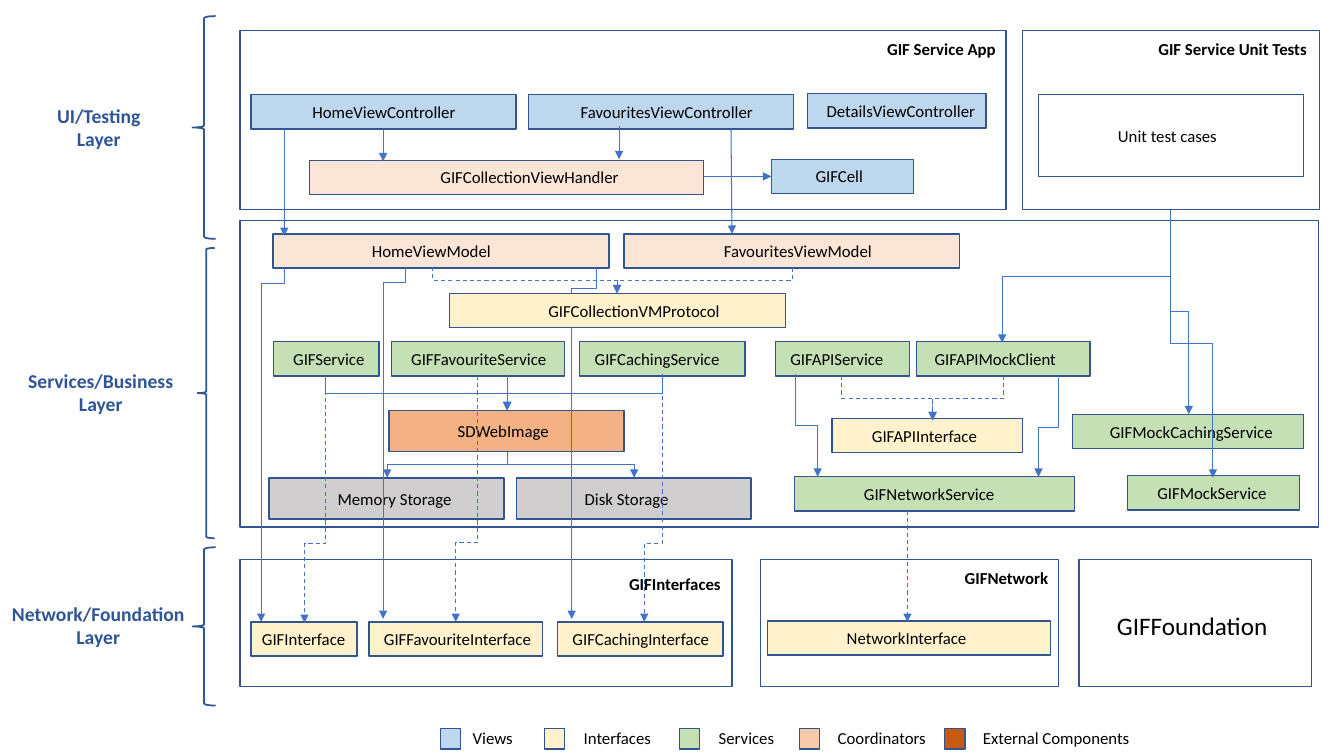
import pptx
import pptx.dml.color
import pptx.enum.dml
import pptx.enum.shapes
import pptx.enum.text
import pptx.oxml
import pptx.oxml.ns
import pptx.util
from pptx.util import Inches

SHAPES = pptx.enum.shapes.MSO_SHAPE
CONNECTORS = pptx.enum.shapes.MSO_CONNECTOR
VIEW, INTERFACE, SERVICE = "BDD7EE", "FFF2CC", "C5E0B4"
COORDINATOR, LIBRARY, STORAGE = "FBE5D6", "F4B183", "D0CECE"
ROW = 0.34


def colour(hex_string):
    return pptx.dml.color.RGBColor.from_string(hex_string)


class Diagram:
    """Holds the style and the page being drawn on."""
    font = "Calibri"
    outline = "325491"
    arrow_colour = "4472C4"
    layer_colour = "2F5597"

    def __init__(self, page):
        self.page = page

    def shape(self, left, top, width, height, fill=None, kind=SHAPES.RECTANGLE,
              line=outline, weight=1):
        box = self.page.shapes.add_shape(
            kind, Inches(left), Inches(top), Inches(width), Inches(height))
        box.shadow.inherit = False
        if fill:
            box.fill.solid()
            box.fill.fore_color.rgb = colour(fill)
        else:
            box.fill.background()
        box.line.color.rgb = colour(line)
        box.line.width = pptx.util.Pt(weight)

    def label(self, lines, left, top, width, height=0.3, size=12, bold=False,
              ink="000000", centred=False, wrap=False):
        box = self.page.shapes.add_textbox(
            Inches(left), Inches(top), Inches(width), Inches(height))
        frame = box.text_frame
        frame.word_wrap = wrap
        frame.auto_size = pptx.enum.text.MSO_AUTO_SIZE.SHAPE_TO_FIT_TEXT
        para = frame.paragraphs[0]
        if centred:
            para.alignment = pptx.enum.text.PP_ALIGN.CENTER
        for index, line in enumerate(lines):
            if index:
                para.add_line_break()
            span = para.add_run()
            span.text = line
            span.font.name = self.font
            span.font.size = pptx.util.Pt(size)
            span.font.bold = bold
            span.font.color.rgb = colour(ink)

    def node(self, name, fill, left, top, width, text_left, text_width,
             wrap=False, height=ROW):
        """Draw a component box with its name halfway down."""
        self.shape(left, top, width, height, fill)
        self.label([name], text_left, top + (height - 0.3) / 2, text_width, wrap=wrap)

    def layer(self, lines, text_box, brace_box):
        self.label(lines, *text_box, size=14, bold=True, ink=self.layer_colour,
                   centred=True)
        self.shape(*brace_box, kind=SHAPES.LEFT_BRACE, line=self.layer_colour,
                   weight=1.25)

    def connector(self, kind, start, end, dashed):
        line = self.page.shapes.add_connector(
            kind, *(Inches(value) for value in (*start, *end)))
        line.line.color.rgb = colour(self.arrow_colour)
        line.line.width = pptx.util.Pt(0.75)
        if dashed:
            line.line.dash_style = pptx.enum.dml.MSO_LINE.DASH
        head = pptx.oxml.ns.qn("a:tailEnd")
        line.line._get_or_add_ln().append(
            line.element.makeelement(head, {"type": "triangle"}))
        properties = line.element.spPr
        properties.append(properties.makeelement(pptx.oxml.ns.qn("a:effectLst"), {}))
        return line

    def arrow(self, start, end, dashed=False):
        self.connector(CONNECTORS.STRAIGHT, start, end, dashed)

    def elbow(self, start, end, bend=None, dashed=False):
        """Draw down, across at height bend (halfway by default), and down again."""
        (x1, y1), (x2, y2) = start, end
        side = 1 if x2 > x1 else -1
        middle_x, middle_y = (x1 + x2) / 2, (y1 + y2) / 2
        half_drop, half_shift = (y2 - y1) / 2, abs(x2 - x1) / 2
        line = self.connector(
            CONNECTORS.ELBOW,
            (middle_x + side * half_drop, middle_y - half_shift),
            (middle_x - side * half_drop, middle_y + half_shift), dashed)
        properties = line.element.spPr
        turn = 270 if side > 0 else 90
        properties.find(pptx.oxml.ns.qn("a:xfrm")).set("rot", str(turn * 60000))
        if bend:
            share = round((bend - y1) / (y2 - y1) * 100000)
            guides = properties.find(".//" + pptx.oxml.ns.qn("a:avLst"))
            guides.append(guides.makeelement(
                pptx.oxml.ns.qn("a:gd"), {"name": "adj1", "fmla": f"val {share}"}))


LAYERS = [
    (["UI/Testing", "Layer"], (0.46, 0.98, 1.04, 0.57), (1.91, 0.16, 0.23, 2.21)),
    (["Services/Business", "Layer"], (0.17, 3.61, 1.66, 0.57), (1.96, 2.46, 0.17, 2.88)),
    (["Network/Foundation", "Layer"], (0.01, 5.92, 1.93, 0.57), (1.91, 5.43, 0.23, 1.57)),
]
FRAMES = [
    (2.38, 0.3, 7.6, 1.78), (10.14, 0.3, 2.95, 1.78), (2.38, 2.19, 10.7, 3.04),
    (2.38, 5.55, 4.88, 1.26), (7.54, 5.55, 2.96, 1.26), (10.7, 5.55, 2.31, 1.26),
]
TITLES = [
    ("GIF Service App", 8.7, 0.34, 1.29), ("GIF Service Unit Tests", 11.39, 0.34, 1.69),
    ("GIFInterfaces", 6.14, 5.64, 1.12), ("GIFNetwork", 9.47, 5.58, 1.04),
]
# name, fill, box left, top, width, text left, width, then wrap and height if needed
NODES = [
    ("HomeViewController", VIEW, 2.49, 0.94, 2.63, 3, 1.64),
    ("FavouritesViewController", VIEW, 5.24, 0.94, 2.63, 5.66, 1.93),
    ("DetailsViewController", VIEW, 8.01, 0.93, 1.77, 8.1, 1.69),
    ("Unit test cases", None, 10.3, 0.94, 2.63, 10.99, 1.2, False, 0.81),
    ("GIFCollectionViewHandler", COORDINATOR, 3.07, 1.59, 3.91, 4.27, 1.99),
    ("GIFCell", VIEW, 7.65, 1.58, 1.41, 7.99, 0.68),
    ("HomeViewModel", COORDINATOR, 2.71, 2.32, 3.33, 3.59, 1.4),
    ("FavouritesViewModel", COORDINATOR, 6.19, 2.32, 3.33, 7.08, 1.69),
    ("GIFService", SERVICE, 2.71, 3.39, 1.05, 2.81, 1.04, True),
    ("GIFFavouriteService", SERVICE, 3.88, 3.39, 1.72, 3.98, 1.55),
    ("GIFCachingService", SERVICE, 5.75, 3.39, 1.64, 5.8, 1.45),
    ("GIFAPIService", SERVICE, 7.69, 3.39, 1.33, 7.74, 1.17, True),
    ("GIFAPIMockClient", SERVICE, 9.09, 3.39, 1.72, 9.17, 1.55, True),
    ("SDWebImage", LIBRARY, 3.86, 4.07, 2.33, 4.44, 1.12, True, 0.41),
    ("GIFAPIInterface", INTERFACE, 8.25, 4.15, 1.89, 8.55, 1.4, True),
    ("GIFMockCachingService", SERVICE, 10.64, 4.11, 2.29, 10.91, 1.84),
    ("Memory Storage", STORAGE, 2.67, 4.74, 2.33, 3.25, 1.37, True, 0.41),
    ("Disk Storage", STORAGE, 5.12, 4.74, 2.33, 5.7, 1.12, True, 0.41),
    ("GIFNetworkService", SERVICE, 7.88, 4.73, 2.78, 8.47, 1.51, True),
    ("GIFMockService", SERVICE, 11.18, 4.72, 1.71, 11.38, 1.3),
    ("GIFInterface", INTERFACE, 2.49, 6.17, 1.05, 2.5, 1.04, True),
    ("GIFFavouriteInterface", INTERFACE, 3.66, 6.17, 1.72, 3.71, 1.67),
    ("GIFCachingInterface", INTERFACE, 5.53, 6.17, 1.64, 5.58, 1.57),
    ("NetworkInterface", INTERFACE, 7.61, 6.16, 2.81, 8.3, 1.4),
]
ARROWS = [
    ((6.98, 1.75), (7.65, 1.75)), ((3.8, 1.28), (3.8, 1.6)), ((6.14, 1.25), (6.14, 1.58)),
    ((2.82, 1.28), (2.82, 2.34)), ((7.25, 1.28), (7.26, 2.32)), ((5.03, 3.72), (5.03, 4.07)),
    ((9, 5.07), (9, 6.17), True),
]
TEST_EXIT, LIBRARY_TOP, LIBRARY_EXIT = (11.61, 2.08), (5.03, 4.07), (5.03, 4.48)
API_TOP, PROTOCOL_TOP = (9.25, 4.17), (6.12, 2.91)
ELBOWS = [
    ((3.23, 3.73), (3.02, 6.18), 5.39, True), ((4.74, 3.73), (4.52, 6.17), 5.38, True),
    ((6.57, 3.71), (6.39, 6.17), 5.39, True),
    (LIBRARY_EXIT, (3.84, 4.74)), (LIBRARY_EXIT, (6.29, 4.74)),
    ((3.23, 3.73), LIBRARY_TOP), ((6.57, 3.73), LIBRARY_TOP),
    ((8.35, 3.73), API_TOP, None, True), ((9.95, 3.73), API_TOP, None, True),
    ((7.89, 3.71), (8.11, 4.73)), ((10.5, 3.75), (10.3, 4.73)),
    ((2.82, 2.66), (2.59, 6.17), 2.81), ((4.02, 2.66), (3.8, 6.14), 2.8),
    ((5.92, 2.66), (5.67, 6.14), 2.86),
    (TEST_EXIT, (9.94, 3.4)), (TEST_EXIT, (11.79, 4.11)), (TEST_EXIT, (12.03, 4.74)),
    ((4.29, 2.65), PROTOCOL_TOP, None, True), ((7.86, 2.66), PROTOCOL_TOP, None, True),
]
LEGEND = [
    ("Views", VIEW, 4.37, 4.59, 0.6), ("Interfaces", INTERFACE, 5.4, 5.69, 0.88),
    ("Services", SERVICE, 6.74, 7.03, 0.76), ("Coordinators", "F8CBAD", 7.93, 8.21, 1.08),
    ("External Components", "C55A11", 9.37, 9.65, 1.67),
]


def main():
    deck = pptx.Presentation()
    deck.slide_width, deck.slide_height = Inches(13.33), Inches(7.5)
    diagram = Diagram(deck.slides.add_slide(deck.slide_layouts[6]))
    for frame in FRAMES:
        diagram.shape(*frame)
    for title, left, top, width in TITLES:
        diagram.label([title], left, top, width, bold=True)
    diagram.label(["GIFFoundation"], 10.98, 6.01, 1.74, 0.4, size=18)
    for layer in LAYERS:
        diagram.layer(*layer)
    for node in NODES:
        diagram.node(*node)
    for elbow in ELBOWS:
        diagram.elbow(*elbow)
    for arrow in ARROWS:
        diagram.arrow(*arrow)
    # The protocol box covers the line that runs behind it.
    diagram.node("GIFCollectionVMProtocol", INTERFACE, 4.46, 2.91, 3.33, 5.34, 1.92)
    for name, fill, left, text_left, text_width in LEGEND:
        diagram.shape(left, 7.23, 0.2, 0.2, fill)
        diagram.label([name], text_left, 7.17, text_width)
    deck.save("out.pptx")


if __name__ == "__main__":
    main()
